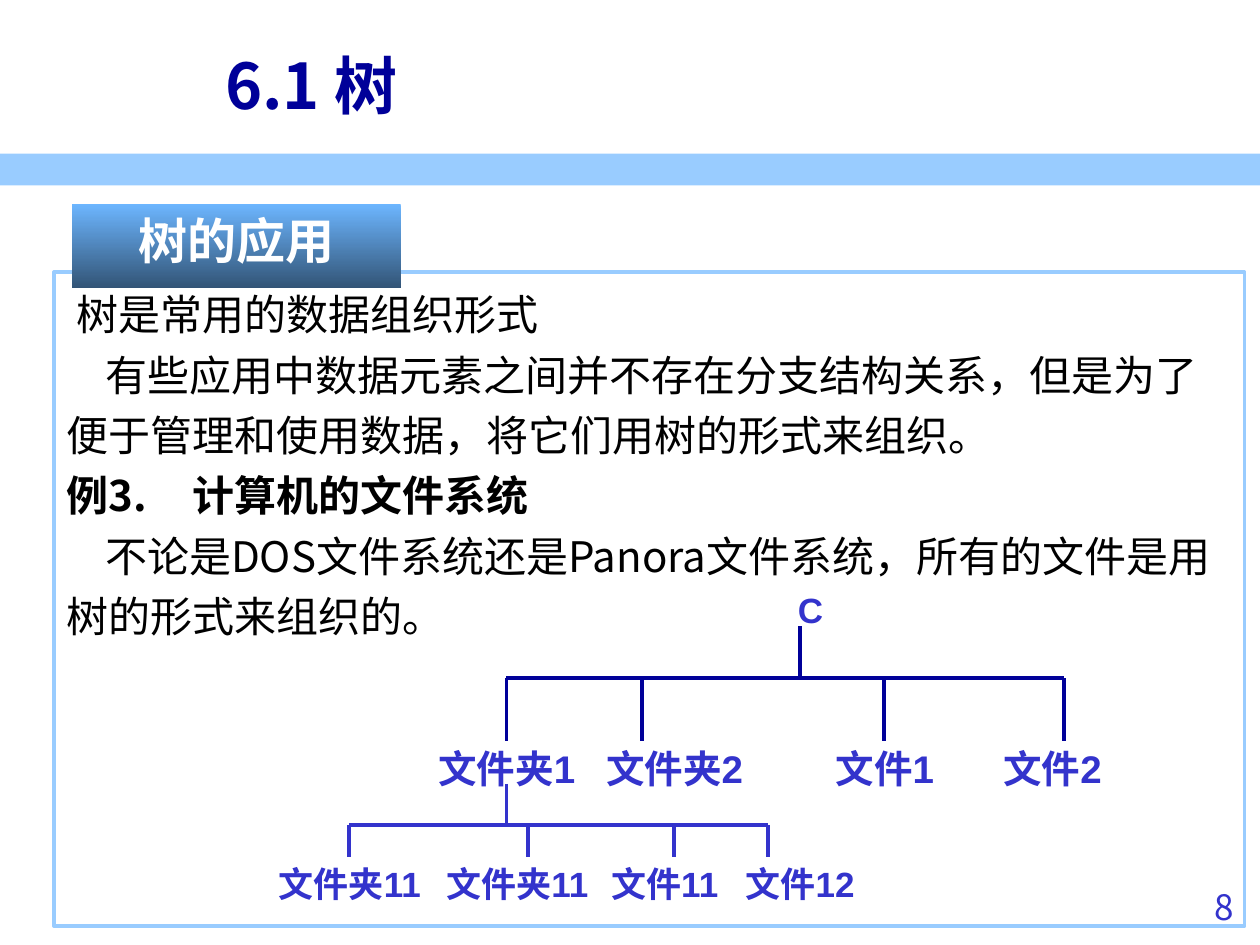
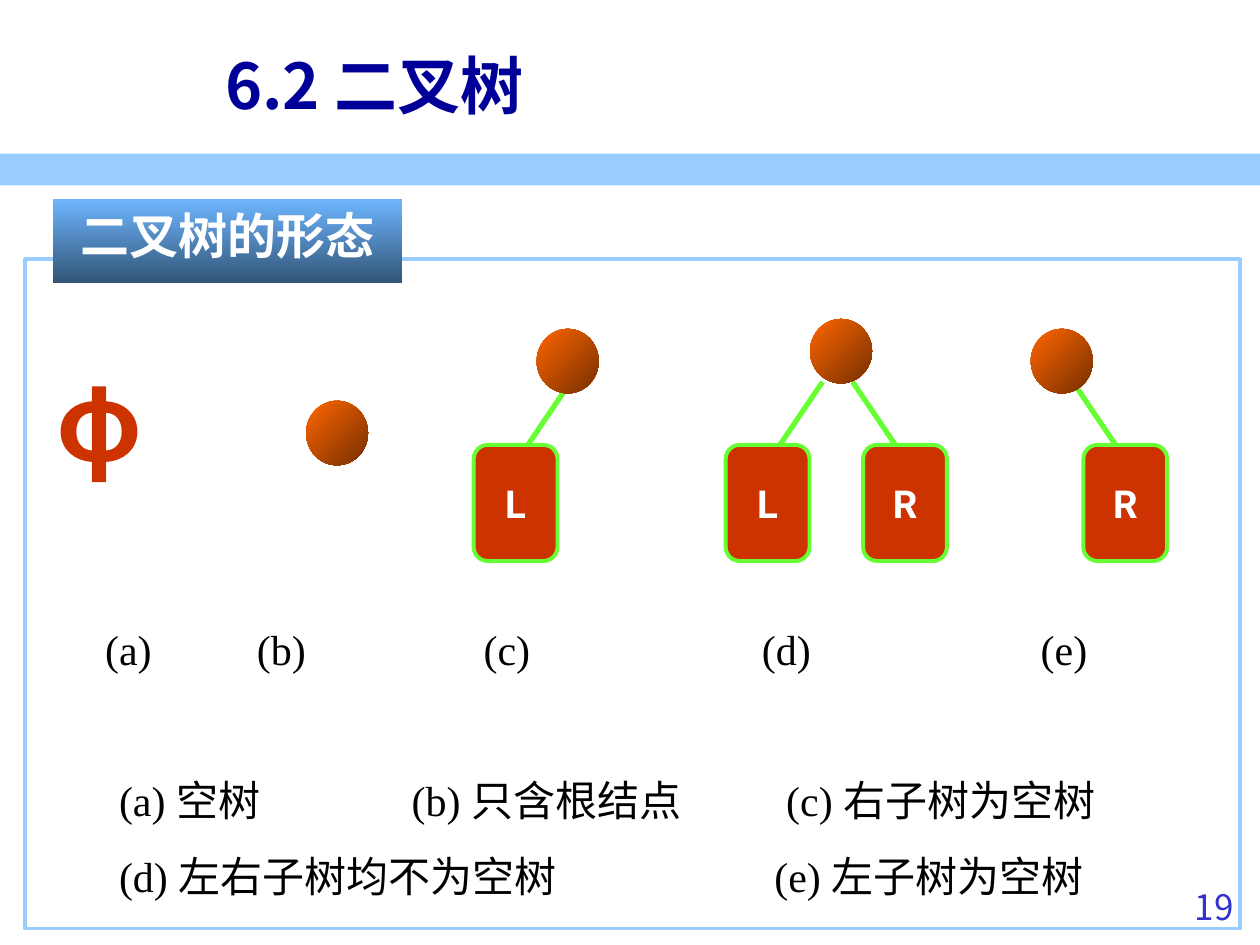
import pptx
import pptx.util
import pptx.dml.color
import pptx.enum.shapes
import pptx.enum.text
import pptx.oxml.ns
from lxml import etree

Cm, Pt = pptx.util.Cm, pptx.util.Pt
KIND = pptx.enum.shapes.MSO_SHAPE
ALIGN = pptx.enum.text.PP_ALIGN
MID = pptx.enum.text.MSO_ANCHOR.MIDDLE
TOP = pptx.enum.text.MSO_ANCHOR.TOP
qn = pptx.oxml.ns.qn

HUES = {
    "sky": "99CCFF", "navy": "000099", "blue": "3333CC", "black": "000000",
    "white": "FFFFFF", "red": "CC3300", "green": "66FF33",
    "tag top": "6DB6FF", "tag end": "325476",
    "ball top": "FF6600", "ball end": "762F00",
}
HAN, SERIF = "Noto Sans CJK SC", "Times New Roman"

# Content: boxes are (left, top, width, height) in centimetres
TREE = {
    "title": "6.1 树", "page": "8", "tag": "树的应用",
    "tag box": (1.45, 4.11, 6.63, 1.7), "frame": (1.09, 5.49, 24, 13.18),
}
BINARY = {
    "title": "6.2 二叉树", "page": "19", "tag": "二叉树的形态",
    "tag box": (1.07, 4.01, 7.04, 1.7), "frame": (0.51, 5.23, 24.49, 13.49),
}

# (text, first-line indent, bold)
BODY = [
    ("树是常用的数据组织形式", 0.2, False),
    ("有些应用中数据元素之间并不存在分支结构关系，但是为了"
     "便于管理和使用数据，将它们用树的形式来组织。", 0.78, False),
    ("例3.\t计算机的文件系统", 0, True),
    ("不论是DOS文件系统还是Panora文件系统，所有的文件是"
     "用树的形式来组织的。", 0.78, False),
]
BODY_TAB = 2.3

# Each kid: (label, line x, label centre)
ROOT = ("C", 16.34, 11.76)
LEVELS = [
    {"hue": "navy", "size": 22, "stem": 16.13, "rows": (12.62, 13.67, 14.94),
     "kids": [("文件夹1", 10.21, 10.22), ("文件夹2", 12.95, 13.6),
              ("文件1", 17.83, 17.84), ("文件2", 21.44, 21.22)]},
    {"hue": "blue", "size": 20, "stem": 10.21, "rows": (15.8, 16.64, 17.27),
     "kids": [("文件夹11", 7.04, 7.05), ("文件夹11", 10.64, 10.43),
              ("文件11", 13.59, 13.4), ("文件12", 15.49, 16.13)]},
]
LABEL_WIDE = 3.35

BALLS = [(6.17, 8.08), (10.82, 6.63), (16.33, 6.43), (20.78, 6.63)]
SUBS = [("L", 9.55), ("L", 14.63), ("R", 17.4), ("R", 21.84)]
SUB_TOP, EDGE_TOP = 8.97, 7.7

# Each row: (texts, tab stops, space before in points)
NOTES = [
    (["(a)", "(b)", "(c)", "(d)", "(e)"], [0.57, 3.63, 8.2, 13.81, 19.43], 0),
    (["(a) 空树", "(b) 只含根结点", "(c) 右子树为空树"],
     [0.85, 6.75, 14.3], 43),
    (["(d) 左右子树均不为空树", "(e) 左子树为空树"], [0.85, 14.06], 0),
]


# Helpers
def rgb(hue):
    return pptx.dml.color.RGBColor.from_string(HUES[hue])


def style(para, size, hue, name=HAN, bold=False, align=None):
    font = para.font
    font.size, font.bold, font.name = Pt(size), bold, name
    font.color.rgb = rgb(hue)
    if align is not None:
        para.alignment = align
    props = para._p.pPr.find(qn("a:defRPr"))
    east = etree.SubElement(props, qn("a:ea"))
    east.set("typeface", HAN)


def tabs(para, stops):
    group = etree.SubElement(para._p.get_or_add_pPr(), qn("a:tabLst"))
    for stop in stops:
        tab = etree.SubElement(group, qn("a:tab"))
        tab.set("pos", str(int(Cm(stop))))
        tab.set("algn", "l")


def write(slide, text, box, size, hue, mid=False, **kind):
    frame = slide.shapes.add_textbox(*map(Cm, box)).text_frame
    frame.word_wrap = True
    if mid:
        frame.vertical_anchor = MID
    frame.paragraphs[0].text = text
    style(frame.paragraphs[0], size, hue, **kind)
    return frame


def draw(slide, kind, box, fill=None, fade=None, angle=270, line=None):
    shape = slide.shapes.add_shape(kind, *map(Cm, box))
    shape.shadow.inherit = False
    if fade:
        shape.fill.gradient()
        shape.fill.gradient_angle = angle
        for stop, end in zip(shape.fill.gradient_stops, ("top", "end")):
            stop.color.rgb = rgb(f"{fade} {end}")
    elif fill:
        shape.fill.solid()
        shape.fill.fore_color.rgb = rgb(fill)
    else:
        shape.fill.background()
    if line:
        shape.line.color.rgb = rgb(line)
        shape.line.width = Pt(2.25)
    else:
        shape.line.fill.background()
    return shape


def link(slide, start, end, hue, width=2.25):
    line = slide.shapes.add_connector(
        pptx.enum.shapes.MSO_CONNECTOR.STRAIGHT, *map(Cm, start + end))
    line.line.color.rgb = rgb(hue)
    line.line.width = Pt(width)
    etree.SubElement(line._element.spPr, qn("a:effectLst"))


def base(deck, info):
    """Add a slide with band, title, page number, frame and tag."""
    slide = deck.slides.add_slide(deck.slide_layouts[6])
    draw(slide, KIND.RECTANGLE, (0, 3.1, 25.4, 0.64), fill="sky")
    write(slide, info["page"], (22.71, 17.73, 2.41, 1.32), 20, "blue",
          align=ALIGN.RIGHT)
    write(slide, info["title"], (4.29, 0.53, 20.8, 2.34), 36, "navy",
          mid=True, bold=True)
    frame = draw(slide, KIND.RECTANGLE, info["frame"], line="sky")
    tag = draw(slide, KIND.RECTANGLE, info["tag box"], fade="tag")
    tag.text_frame.vertical_anchor = TOP
    para = tag.text_frame.paragraphs[0]
    para.text = info["tag"]
    style(para, 28, "white", bold=True, align=ALIGN.CENTER)
    return slide, frame.text_frame


def label(slide, text, mid, top, size):
    box = (mid - LABEL_WIDE / 2, top, LABEL_WIDE, 1.07)
    frame = write(slide, text, box, size, "blue", mid=True, name="Arial",
                  bold=True, align=ALIGN.CENTER)
    frame.margin_left = frame.margin_right = 0
    frame.word_wrap = False


# Slide with the file tree
def files(deck):
    slide, body = base(deck, TREE)
    body.vertical_anchor = TOP
    for i, (text, indent, bold) in enumerate(BODY):
        para = body.add_paragraph() if i else body.paragraphs[0]
        para.text = text
        para.line_spacing = 1.2
        para._p.get_or_add_pPr().set("indent", str(int(Cm(indent))))
        if "\t" in text:
            tabs(para, [BODY_TAB])
        style(para, 24, "black", bold=bold, align=ALIGN.LEFT)
    label(slide, *ROOT, 20)
    for level in LEVELS:
        top, bar, low = level["rows"]
        hue, stem, kids = level["hue"], level["stem"], level["kids"]
        link(slide, (stem, top), (stem, bar), hue)
        link(slide, (kids[0][1], bar), (kids[-1][1], bar), hue)
        for text, x, mid in kids:
            link(slide, (x, bar), (x, low), hue)
            label(slide, text, mid, low, level["size"])


# Slide with the five binary tree forms
def forms(deck):
    slide, _ = base(deck, BINARY)
    write(slide, "φ", (0.89, 7.06, 23.6, 2.79), 60, "red", bold=True)
    for side, x in SUBS:
        end, lean = (x + 1.09, 0.86) if side == "L" else (x + 0.65, -0.86)
        link(slide, (end + lean, EDGE_TOP), (end, SUB_TOP), "green", 3)
        sub = draw(slide, KIND.ROUNDED_RECTANGLE, (x, SUB_TOP, 1.69, 2.34),
                   fill="red", line="green")
        sub.text_frame.word_wrap = False
        sub.text_frame.vertical_anchor = MID
        para = sub.text_frame.paragraphs[0]
        para.text = side
        style(para, 22, "white", "Roboto", True, ALIGN.CENTER)
    for spot in BALLS:
        draw(slide, KIND.OVAL, spot + (1.25, 1.3), fade="ball", angle=315)

    # Captions and their key
    notes = slide.shapes.add_textbox(
        Cm(1.3), Cm(11.94), Cm(23.06), Cm(6.35)).text_frame
    notes.word_wrap = True
    for i, (texts, stops, gap) in enumerate(NOTES):
        para = notes.add_paragraph() if i else notes.paragraphs[0]
        para.line_spacing = 1.5
        if gap:
            para.space_before = Pt(gap)
        tabs(para, stops)
        style(para, 24, "black", SERIF)
        for text in texts:
            tab = para.add_run()
            tab.text = "\t"
            tab.font.name = HAN
            para.add_run().text = text


def main():
    deck = pptx.Presentation()
    deck.slide_width, deck.slide_height = Cm(25.4), Cm(19.05)
    files(deck)
    forms(deck)
    deck.save("out.pptx")


if __name__ == "__main__":
    main()
